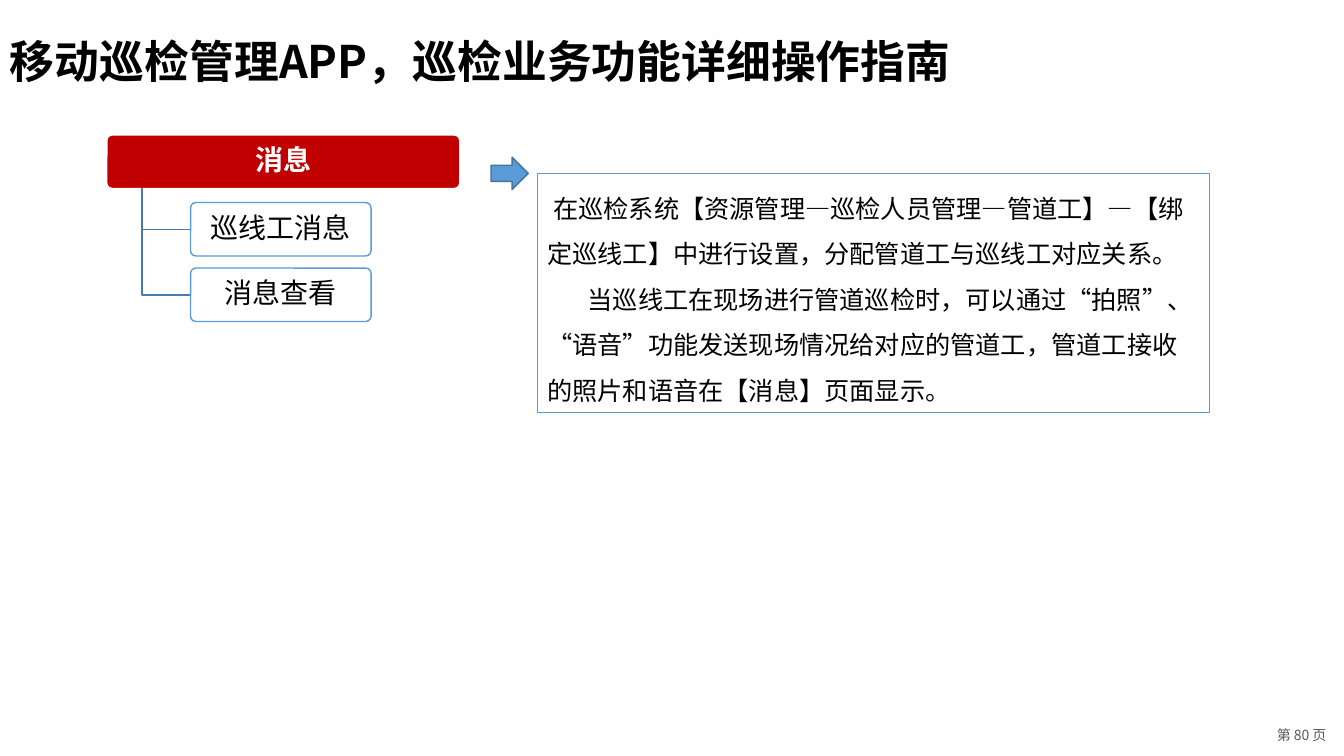
import pptx
import pptx.util
import pptx.dml.color
import pptx.enum.shapes
import pptx.enum.text
import pptx.oxml
import pptx.oxml.ns

Inches, Pt = pptx.util.Inches, pptx.util.Pt
RGB = pptx.dml.color.RGBColor
SHAPE = pptx.enum.shapes.MSO_SHAPE
ALIGN = pptx.enum.text.PP_ALIGN
ANCHOR = pptx.enum.text.MSO_ANCHOR
qn = pptx.oxml.ns.qn

# Content
TITLE = "移动巡检管理APP，巡检业务功能详细操作指南"
PAGE = "第 80 页"
HEAD = "消息"
ITEMS = ["巡线工消息", "消息查看"]
NOTES = [  # first-line indent, text
    (0.06, "在巡检系统【资源管理—巡检人员管理—管道工】—【绑定巡线工】中进行设置，"
           "分配管道工与巡线工对应关系。"),
    (0.4, "当巡线工在现场进行管道巡检时，可以通过“拍照”、“语音”功能发送现场情况给"
          "对应的管道工，管道工接收的照片和语音在【消息】页面显示。"),
]

# Colours and fonts
BLACK = RGB(0x00, 0x00, 0x00)
WHITE = RGB(0xFF, 0xFF, 0xFF)
GREY = RGB(0x59, 0x59, 0x59)
RED = RGB(0xC0, 0x00, 0x00)
BLUE = RGB(0x5B, 0x9B, 0xD5)
EDGE = RGB(0x43, 0x73, 0x9E)
LINK = RGB(0x49, 0x7C, 0xAB)
NOTO, ARIAL = "Noto Sans CJK SC", "Arial"

# Tree layout: rows of equal height at an equal step
HEAD_X, HEAD_Y, HEAD_W = 1.06, 1.34, 3.5
ITEM_X, ITEM_Y, ITEM_W = 1.89, 2.01, 1.79
ROW_H, STEP, STEM_X = 0.53, 0.65, 1.41


def style(para, size, color, font, bold=False, align=ALIGN.LEFT, space=1.0):
    para.alignment = align
    para.line_spacing = space
    for run in para.runs:
        run.font.size = Pt(size)
        run.font.bold = bold
        run.font.name = font
        run.font.color.rgb = color
        if font == NOTO:
            east = pptx.oxml.parse_xml(
                f'<a:ea {pptx.oxml.ns.nsdecls("a")} typeface="{font}"/>')
            run.font._element.find(qn("a:latin")).addnext(east)


def paint(shape, fill, edge, width=1.0):
    shape.shadow.inherit = False
    if fill is None:
        shape.fill.background()
    else:
        shape.fill.solid()
        shape.fill.fore_color.rgb = fill
    shape.line.color.rgb = edge
    shape.line.width = Pt(width)


def add_text(slide, box, text, anchor):
    shape = slide.shapes.add_textbox(*map(Inches, box))
    frame = shape.text_frame
    frame.word_wrap = True
    frame.vertical_anchor = anchor
    frame.text = text
    return frame.paragraphs[0]


def add_node(slide, box, text, fill, edge, color, bold=False):
    node = slide.shapes.add_shape(SHAPE.ROUNDED_RECTANGLE, *map(Inches, box))
    node.adjustments[0] = 0.1
    paint(node, fill, edge)
    frame = node.text_frame
    frame.margin_left = frame.margin_right = Inches(0.04)
    frame.margin_top = frame.margin_bottom = Inches(0.03)
    frame.vertical_anchor = ANCHOR.MIDDLE
    frame.text = text
    style(frame.paragraphs[0], 20, color, ARIAL, bold, ALIGN.CENTER, 0.9)


def add_link(slide, y):
    top = HEAD_Y + ROW_H
    form = slide.shapes.build_freeform(Inches(STEM_X), Inches(top))
    form.add_line_segments([(Inches(STEM_X), Inches(y)),
                            (Inches(ITEM_X), Inches(y))], close=False)
    paint(form.convert_to_shape(), None, LINK)


def main():
    deck = pptx.Presentation()
    deck.slide_width, deck.slide_height = Inches(13.33), Inches(7.5)
    slide = deck.slides.add_slide(deck.slide_layouts[6])

    # Page number and title
    page = add_text(slide, (12.48, 7.16, 0.86, 0.27), PAGE, ANCHOR.TOP)
    style(page, 10, GREY, NOTO, align=ALIGN.CENTER)
    title = add_text(slide, (0, 0, 10.34, 0.93), TITLE, ANCHOR.MIDDLE)
    style(title, 32, BLACK, NOTO, bold=True, space=1.5)

    # Arrow from the tree to the notes
    arrow = slide.shapes.add_shape(
        SHAPE.RIGHT_ARROW, *map(Inches, (4.87, 1.56, 0.37, 0.32)))
    paint(arrow, BLUE, EDGE)

    # Tree of functions
    add_node(slide, (HEAD_X, HEAD_Y, HEAD_W, ROW_H), HEAD, RED, WHITE, WHITE, True)
    for i, item in enumerate(ITEMS):
        y = ITEM_Y + i * STEP
        add_link(slide, y + ROW_H / 2)
        add_node(slide, (ITEM_X, y, ITEM_W, ROW_H), item, WHITE, BLUE, BLACK)

    # Notes
    notes = slide.shapes.add_shape(
        SHAPE.RECTANGLE, *map(Inches, (5.33, 1.72, 6.67, 2.37)))
    paint(notes, None, BLUE, 0.75)
    frame = notes.text_frame
    frame.word_wrap = True
    frame.vertical_anchor = ANCHOR.TOP
    frame.text = "\n".join(text for _, text in NOTES)
    for para, (indent, _) in zip(frame.paragraphs, NOTES):
        style(para, 18, BLACK, ARIAL, space=1.5)
        para._p.get_or_add_pPr().set("indent", str(Inches(indent)))

    deck.save("out.pptx")


if __name__ == "__main__":
    main()
